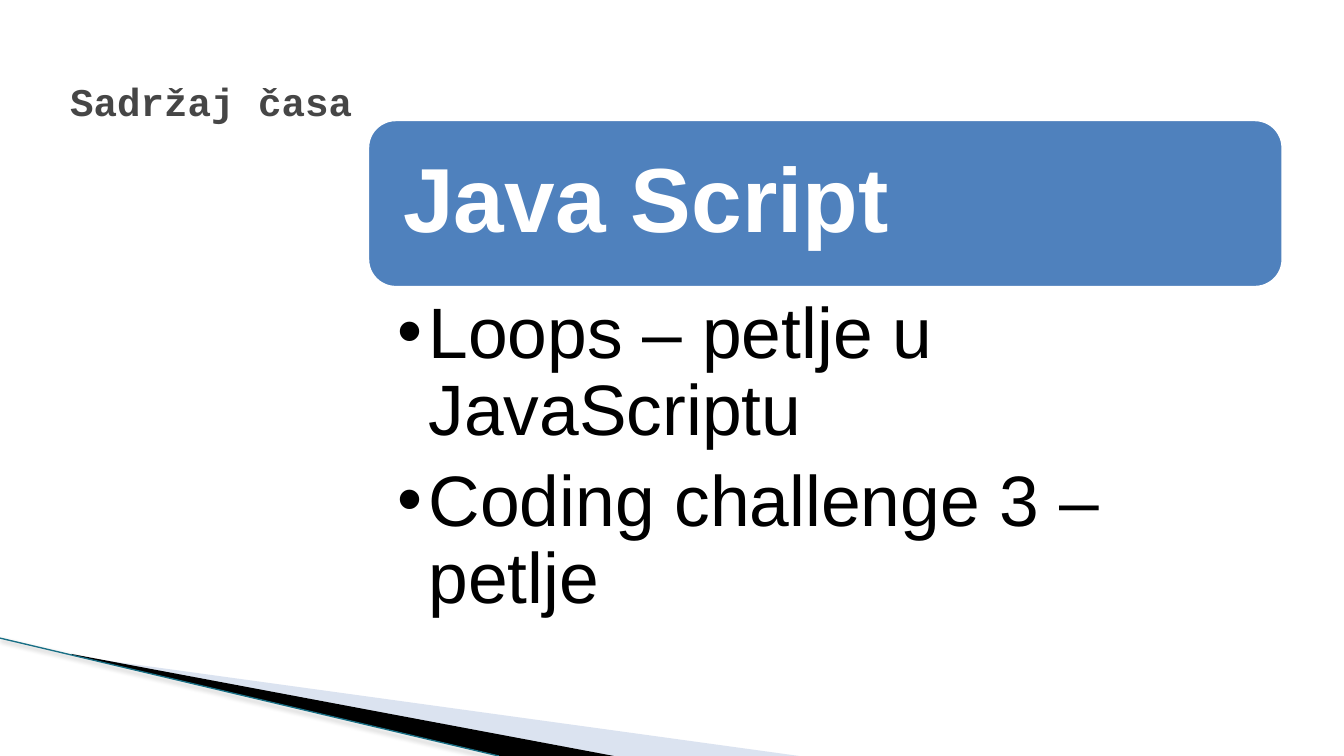
from typing import NamedTuple

from lxml import etree
from pptx import Presentation
from pptx.dml.color import RGBColor
from pptx.enum.shapes import MSO_CONNECTOR, MSO_SHAPE
from pptx.enum.text import MSO_ANCHOR, MSO_AUTO_SIZE, PP_ALIGN
from pptx.oxml.ns import qn
from pptx.util import Cm, Pt

ROUND = MSO_SHAPE.ROUNDED_RECTANGLE
STRAIGHT = MSO_CONNECTOR.STRAIGHT
MIDDLE, TOP = MSO_ANCHOR.MIDDLE, MSO_ANCHOR.TOP
LEFT = PP_ALIGN.LEFT
FIXED = MSO_AUTO_SIZE.NONE

WHITE = RGBColor(0xFF, 0xFF, 0xFF)
BLACK = RGBColor(0, 0, 0)
GREY = RGBColor(0x46, 0x46, 0x46)
BLUE = RGBColor(0x4F, 0x81, 0xBD)
PALE = RGBColor(0xA7, 0xB9, 0xDB)
TEAL = RGBColor(0x19, 0x6F, 0x85)


class Box(NamedTuple):
    """Place and size in centimetres."""
    left: float
    top: float
    width: float
    height: float


class Style(NamedTuple):
    """Look of a run of text."""
    font: str
    size: int
    color: RGBColor
    bold: bool


class Wedge(NamedTuple):
    """Filled corner outline, points in centimetres."""
    points: tuple
    color: RGBColor
    alpha: int


HEAD = Style("Courier New", 28, GREY, True)
TOPIC = Style("Arial", 65, WHITE, True)
ITEM = Style("Arial", 51, BLACK, False)

TITLE_BOX = Box(1.52, 0.69, 28.98, 3.68)
BAR_BOX = Box(9.27, 3.02, 23.06, 4.22)
LIST_BOX = Box(9.27, 7.24, 23.06, 8.41)
ITEMS = ("Loops – petlje u JavaScriptu", "Coding challenge 3 – petlje")
HANG = Cm(0.79)

WEDGES = (
    Wedge(((1.85, 16.53), (20.14, 19.05), (15.44, 19.05)), PALE, 40),
    Wedge(((1.8, 16.48), (15.47, 19.05), (12.6, 19.05), (1.83, 16.51)),
          BLACK, 100),
)


def place(shape, box: Box) -> None:
    """Move and size a shape."""
    shape.left, shape.top = Cm(box.left), Cm(box.top)
    shape.width, shape.height = Cm(box.width), Cm(box.height)


def frame(shape, anchor, insets: tuple):
    """Set up the text frame; insets run left, top, right, bottom."""
    text = shape.text_frame
    text.word_wrap = True
    text.auto_size = FIXED
    text.vertical_anchor = anchor
    text.margin_left, text.margin_top, text.margin_right, \
        text.margin_bottom = map(Cm, insets)
    return text


def write(para, words: str, style: Style, lines: float = 1.0) -> None:
    """Add one styled run to a paragraph."""
    para.alignment = LEFT
    para.line_spacing = lines
    para.space_before = Pt(0)
    run = para.add_run()
    run.text = words
    font = run.font
    font.name, font.size, font.bold = style.font, Pt(style.size), style.bold
    font.color.rgb = style.color


def bullet(para) -> None:
    """Give a paragraph a hanging round bullet."""
    props = para._p.get_or_add_pPr()
    props.set("marL", str(HANG))
    props.set("indent", str(-HANG))
    etree.SubElement(props, qn("a:buChar"), char="•")


def tint(parent, color: RGBColor, alpha: int) -> None:
    """Append a colour with opacity in percent."""
    node = etree.SubElement(parent, qn("a:srgbClr"), val=str(color))
    etree.SubElement(node, qn("a:alpha"), val=str(alpha * 1000))


def draw_wedge(slide, wedge: Wedge) -> None:
    """Draw one corner wedge."""
    first, *rest = [(Cm(x), Cm(y)) for x, y in wedge.points]
    pen = slide.shapes.build_freeform(*first)
    pen.add_line_segments(rest, close=True)
    shape = pen.convert_to_shape()
    shape.shadow.inherit = False
    shape.line.fill.background()
    shape.fill.solid()
    shape.fill.fore_color.rgb = wedge.color
    if wedge.alpha < 100:
        fill = shape._element.spPr.find(qn("a:solidFill"))
        fill.remove(fill[0])
        tint(fill, wedge.color, wedge.alpha)


def draw_edge(slide) -> None:
    """Draw the thin corner line with its soft shadow."""
    edge = slide.shapes.add_connector(
        STRAIGHT, Cm(0), Cm(16.08), Cm(12.57), Cm(19.05))
    edge.line.color.rgb = TEAL
    edge.line.width = Pt(0.96)
    effects = etree.SubElement(edge._element.spPr, qn("a:effectLst"))
    shade = etree.SubElement(
        effects, qn("a:outerShdw"), blurRad=str(Pt(3.1)), dist=str(Pt(1.6)),
        dir="5400000", algn="t", rotWithShape="0")
    tint(shade, BLACK, 38)


def draw_bar(slide) -> None:
    """Draw the topic bar."""
    bar = slide.shapes.add_shape(ROUND, *map(Cm, BAR_BOX))
    bar.shadow.inherit = False
    bar.fill.solid()
    bar.fill.fore_color.rgb = BLUE
    bar.line.color.rgb = WHITE
    bar.line.width = Pt(2)
    text = frame(bar, MIDDLE, (0.69, 0.5, 0.69, 0.5))
    write(text.paragraphs[0], "Java Script", TOPIC, 0.9)


def fill_list(body) -> None:
    """Write the lesson items into the body."""
    place(body, LIST_BOX)
    text = frame(body, TOP, (0.74, 0.23, 1.3, 0.23))
    for index, words in enumerate(ITEMS):
        para = text.add_paragraph() if index else text.paragraphs[0]
        write(para, words, ITEM, 0.9)
        para.space_after = Pt(10)
        bullet(para)


def main() -> None:
    """Build and save the slide."""
    deck = Presentation()
    deck.slide_width, deck.slide_height = Cm(33.87), Cm(19.05)
    slide = deck.slides.add_slide(deck.slide_layouts[1])
    title, body = slide.placeholders
    place(title, TITLE_BOX)
    text = frame(title, MIDDLE, (0.25, 0.13, 0.25, 0.13))
    write(text.paragraphs[0], "Sadržaj časa", HEAD)
    for wedge in WEDGES:
        draw_wedge(slide, wedge)
    draw_edge(slide)
    draw_bar(slide)
    fill_list(body)
    deck.save("out.pptx")


main()
